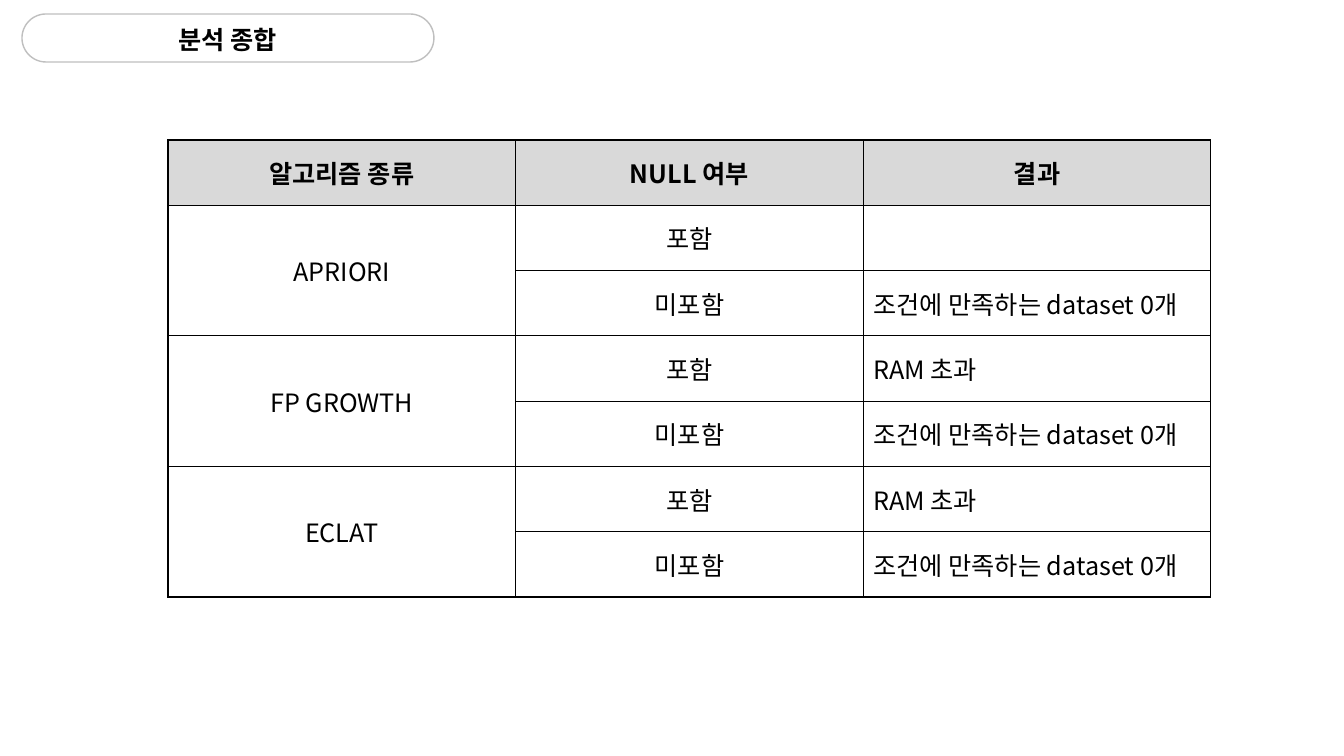
from lxml import etree
from pptx import Presentation
from pptx import util as u
from pptx.dml import color
from pptx.enum import shapes, text
from pptx.oxml import ns

SCALE = 914400 / 100.8
FONT = "Noto Sans CJK KR"
HEADERS = ["알고리즘 종류", "NULL 여부", "결과"]
NO_MATCH = "조건에 만족하는 dataset 0개"
RESULTS = [
    ("APRIORI", "", NO_MATCH),
    ("FP GROWTH", "RAM 초과", NO_MATCH),
    ("ECLAT", "RAM 초과", NO_MATCH),
]


def px(n):
    return u.Emu(round(n * SCALE))


def rgb(value):
    return color.RGBColor.from_string(value)


def add_text(tf, content, bold=False, align=text.PP_ALIGN.CENTER):
    p = tf.paragraphs[0]
    p.alignment = align
    r = p.add_run()
    r.text = content
    r.font.size = u.Pt(18)
    r.font.bold = bold
    r.font.color.rgb = rgb("000000")
    r.font.name = FONT
    ea = etree.SubElement(r._r.get_or_add_rPr(), ns.qn("a:ea"))
    ea.set("typeface", FONT)
    return p


def add_borders(cell):
    tc_pr = cell._tc.get_or_add_tcPr()
    for side in ("lnL", "lnR", "lnT", "lnB"):
        ln = etree.SubElement(tc_pr, ns.qn(f"a:{side}"), w=str(u.Pt(1)))
        fill = etree.SubElement(ln, ns.qn("a:solidFill"))
        etree.SubElement(fill, ns.qn("a:srgbClr"), val="000000")


def add_title(s, content, x, y, w, h):
    sp = s.shapes.add_shape(shapes.MSO_SHAPE.ROUNDED_RECTANGLE, px(x), px(y), px(w), px(h))
    sp.adjustments[0] = 0.5
    sp.shadow.inherit = False
    sp.fill.solid()
    sp.fill.fore_color.rgb = rgb("FFFFFF")
    sp.line.color.rgb = rgb("BFBFBF")
    sp.line.width = u.Pt(1)
    tf = sp.text_frame
    tf.word_wrap = True
    tf.margin_left = tf.margin_right = tf.margin_top = tf.margin_bottom = 0
    tf.vertical_anchor = text.MSO_ANCHOR.BOTTOM
    add_text(tf, content, bold=True).line_spacing = 1.5


def fill_cell(cell, content, header=False, align=text.PP_ALIGN.CENTER):
    cell.vertical_anchor = text.MSO_ANCHOR.MIDDLE
    if header:
        cell.fill.solid()
        cell.fill.fore_color.rgb = rgb("D9D9D9")
    if content:
        add_text(cell.text_frame, content, header, align)


def add_results_table(s, x, y, w, h):
    rows = 1 + 2 * len(RESULTS)
    table = s.shapes.add_table(rows, len(HEADERS), px(x), px(y), px(w), px(h)).table
    for cell in table.iter_cells():
        add_borders(cell)
        cell.fill.background()
    for col, header in enumerate(HEADERS):
        fill_cell(table.cell(0, col), header, header=True)
    for i, (algorithm, with_null, without_null) in enumerate(RESULTS):
        top = 1 + 2 * i
        table.cell(top, 0).merge(table.cell(top + 1, 0))
        fill_cell(table.cell(top, 0), algorithm)
        for row, label, result in ((top, "포함", with_null), (top + 1, "미포함", without_null)):
            fill_cell(table.cell(row, 1), label)
            fill_cell(table.cell(row, 2), result, align=text.PP_ALIGN.LEFT)


def main():
    prs = Presentation()
    prs.slide_width, prs.slide_height = px(1344), px(756)
    s = prs.slides.add_slide(prs.slide_layouts[6])
    add_results_table(s, 168, 140, 1043, 457)
    add_title(s, "분석 종합", 22, 14, 412, 48)
    prs.save("out.pptx")


main()
